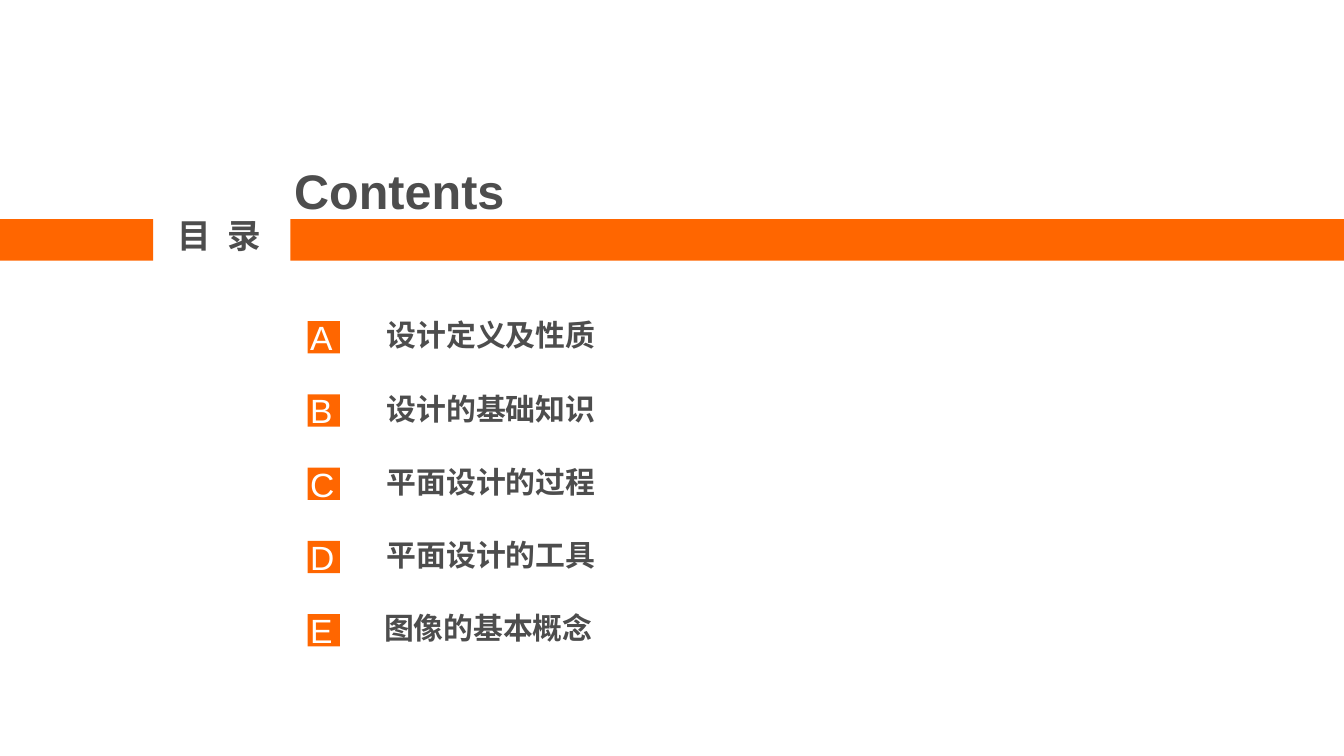
from pptx import Presentation
from pptx.dml.color import RGBColor
from pptx.enum.shapes import MSO_SHAPE
from pptx.enum.text import MSO_AUTO_SIZE as AutoSize, PP_ALIGN as Align
from pptx.util import Inches, Pt

COLORS = {"orange": "FF6600", "gray": "4D4D4D", "white": "FFFFFF"}
FORMATS = {
    "heading": {"size": Pt(26), "bold": True},
    "label": {"size": Pt(18), "bold": True},
    "topic": {"size": Pt(16), "bold": True},
    "letter": {"size": Pt(18), "bold": False},
}
TOPICS = [
    ("A", "设计定义及性质", 2.78),
    ("B", "设计的基础知识", 2.78),
    ("C", "平面设计的过程", 2.78),
    ("D", "平面设计的工具", 2.78),
    ("E", "图像的基本概念", 2.76),
]


def add_block(shapes, left, top, width, height):
    block = shapes.add_shape(
        MSO_SHAPE.RECTANGLE, Inches(left), Inches(top), Inches(width), Inches(height)
    )
    block.shadow.inherit = False
    block.fill.solid()
    block.fill.fore_color.rgb = RGBColor.from_string(COLORS["orange"])
    block.line.fill.background()


def add_text(shapes, box, words, style, color="gray", wrap=True, align=Align.LEFT):
    frame = shapes.add_textbox(*map(Inches, box)).text_frame
    frame.word_wrap = wrap
    frame.auto_size = AutoSize.SHAPE_TO_FIT_TEXT
    paragraph = frame.paragraphs[0]
    paragraph.alignment = align
    run = paragraph.add_run()
    run.text = words
    for attribute, value in {"name": "Arial", **FORMATS[style]}.items():
        setattr(run.font, attribute, value)
    run.font.color.rgb = RGBColor.from_string(COLORS[color])
    return run


def add_banner(shapes, left, top, width, height):
    gap_start, gap_end = left + 1.14, left + 2.16
    add_block(shapes, left, top, gap_start - left, height)
    add_block(shapes, gap_end, top, left + width - gap_end, height)
    add_text(shapes, (left + 2.09, top - 0.48, 2.68, 0.54), "Contents", "heading")
    label = add_text(shapes, (left + 1.22, top - 0.08, 2.28, 0.4), "目 录", "label")
    label._r.get_or_add_rPr().set("spc", "250")


def add_badge(shapes, left, top, letter):
    badge = shapes.add_group_shape().shapes
    add_block(badge, left + 0.08, top + 0.08, 0.24, 0.24)
    add_text(badge, (left, top, 0.36, 0.4), letter, "letter", "white", False, Align.CENTER)


def add_topics(shapes, left, top, height):
    pitch = height / (len(TOPICS) - 1)
    for row, (letter, title, title_left) in enumerate(TOPICS):
        row_top = top + row * pitch
        add_badge(shapes, left, row_top, letter)
        add_text(shapes, (title_left, row_top, 6.2, 0.37), title, "topic")


def main():
    deck = Presentation()
    deck.slide_width = Inches(10)
    deck.slide_height = deck.slide_width * 9 // 16
    shapes = deck.slides.add_slide(deck.slide_layouts[6]).shapes
    add_banner(shapes, 0, 1.63, 10.01, 0.31)
    add_topics(shapes, 2.21, 2.31, 2.18)
    deck.save("out.pptx")


if __name__ == "__main__":
    main()
